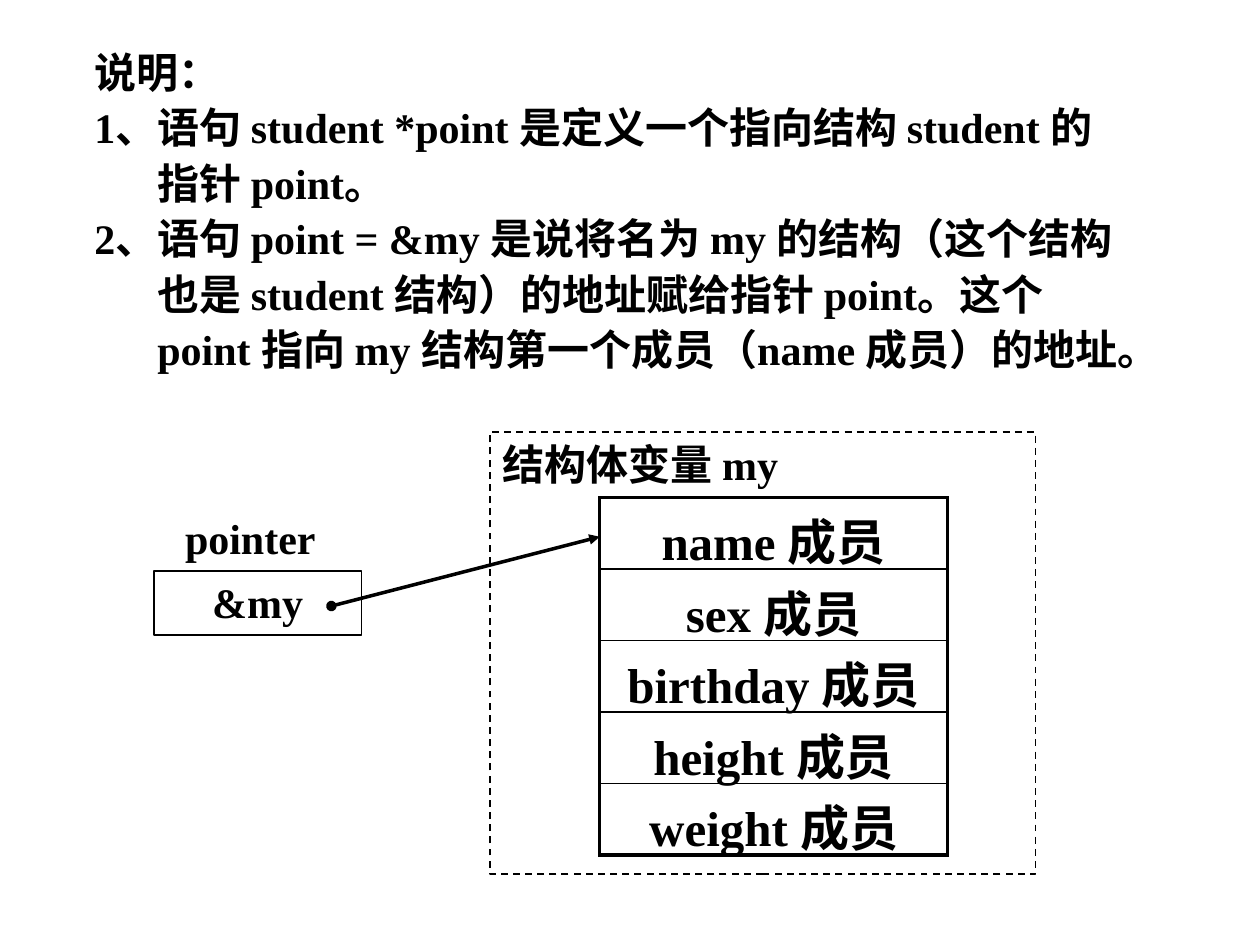
from pptx import Presentation
from pptx.dml.color import RGBColor
from pptx.enum.dml import MSO_LINE_DASH_STYLE as DASH
from pptx.enum.shapes import MSO_CONNECTOR, MSO_SHAPE
from pptx.enum.text import MSO_ANCHOR, PP_ALIGN
from pptx.oxml.ns import qn
from pptx.util import Inches, Pt
from lxml.etree import SubElement

BLACK = RGBColor(0, 0, 0)
FONT = "Times New Roman"
NOTES = [
    "说明：",
    "1、语句 student *point 是定义一个指向结构 student 的指针 point。",
    "2、语句 point = &my 是说将名为 my 的结构（这个结构也是 student 结构）的地址"
    "赋给指针 point。这个 point 指向 my 结构第一个成员（name 成员）的地址。",
]
MEMBERS = ["name", "sex", "birthday", "height", "weight"]


def style(p, size=24, align=PP_ALIGN.LEFT):
    p.alignment = align
    for r in p.runs:
        r.font.name = FONT
        r.font.size = Pt(size)
        r.font.bold = True
        r.font.color.rgb = BLACK


def add_label(s, left, top, width, height, text):
    tf = s.shapes.add_textbox(Inches(left), Inches(top), Inches(width), Inches(height)).text_frame
    tf.word_wrap = True
    tf.text = text
    for p in tf.paragraphs:
        style(p)
    return tf


def add_box(s, left, top, width, height, text, align=PP_ALIGN.LEFT):
    sp = s.shapes.add_shape(
        MSO_SHAPE.RECTANGLE, Inches(left), Inches(top), Inches(width), Inches(height))
    sp.shadow.inherit = False
    sp.fill.background()
    sp.line.color.rgb = BLACK
    sp.line.width = Pt(1)
    tf = sp.text_frame
    tf.vertical_anchor = MSO_ANCHOR.TOP
    tf.text = text
    style(tf.paragraphs[0], align=align)
    return sp


def add_notes(s, left, top, width, height):
    tf = add_label(s, left, top, width, height, "\n".join(NOTES))
    for p in tf.paragraphs:
        p.line_spacing = 1.1
        pPr = p._p.get_or_add_pPr()
        pPr.set("marL", str(Inches(0.5)))
        pPr.set("indent", str(-Inches(0.5)))


def set_border(cell, side, width):
    ln = SubElement(cell._tc.get_or_add_tcPr(), qn(f"a:{side}"), w=str(Pt(width)))
    SubElement(SubElement(ln, qn("a:solidFill")), qn("a:srgbClr"), val=str(BLACK))


def add_members(s, left, top, width, height):
    table = s.shapes.add_table(
        len(MEMBERS), 1, Inches(left), Inches(top), Inches(width), Inches(height)).table
    table.first_row = False
    table.horz_banding = False
    last = len(MEMBERS) - 1
    for i, name in enumerate(MEMBERS):
        cell = table.cell(i, 0)
        cell.text = f"{name} 成员"
        style(cell.text_frame.paragraphs[0], 28, PP_ALIGN.CENTER)
        set_border(cell, "lnL", 2.25)
        set_border(cell, "lnR", 2.25)
        set_border(cell, "lnT", 2.25 if i == 0 else 1)
        set_border(cell, "lnB", 2.25 if i == last else 1)
        cell.fill.background()


def add_structure(s, left, top, width, height):
    add_members(s, left + 0.87, top + 0.52, 2.76, 2.83)
    frame = add_box(s, left, top, width, height, "结构体变量 my")
    frame.line.dash_style = DASH.DASH


def add_pointer(s, left, top, width, height):
    add_box(s, left, top, width, height, "&my", PP_ALIGN.CENTER)
    add_label(s, left + 0.15, top - 0.51, width, 0.5, "pointer")


def add_arrow(s, x1, y1, x2, y2):
    c = s.shapes.add_connector(
        MSO_CONNECTOR.STRAIGHT, Inches(x1), Inches(y1), Inches(x2), Inches(y2))
    c.line.color.rgb = BLACK
    c.line.width = Pt(2)
    ln = c.line._get_or_add_ln()
    SubElement(ln, qn("a:headEnd"), type="oval")
    SubElement(ln, qn("a:tailEnd"), type="triangle")
    SubElement(c._element.spPr, qn("a:effectLst"))


def main():
    prs = Presentation()
    prs.slide_width, prs.slide_height = Inches(10), Inches(7.5)
    s = prs.slides.add_slide(prs.slide_layouts[6])
    add_notes(s, 0.65, 0.28, 8.45, 2.73)
    add_structure(s, 3.89, 3.43, 4.33, 3.51)
    add_pointer(s, 1.22, 4.53, 1.65, 0.51)
    add_arrow(s, 2.63, 4.81, 4.76, 4.26)
    prs.save("out.pptx")


if __name__ == "__main__":
    main()
